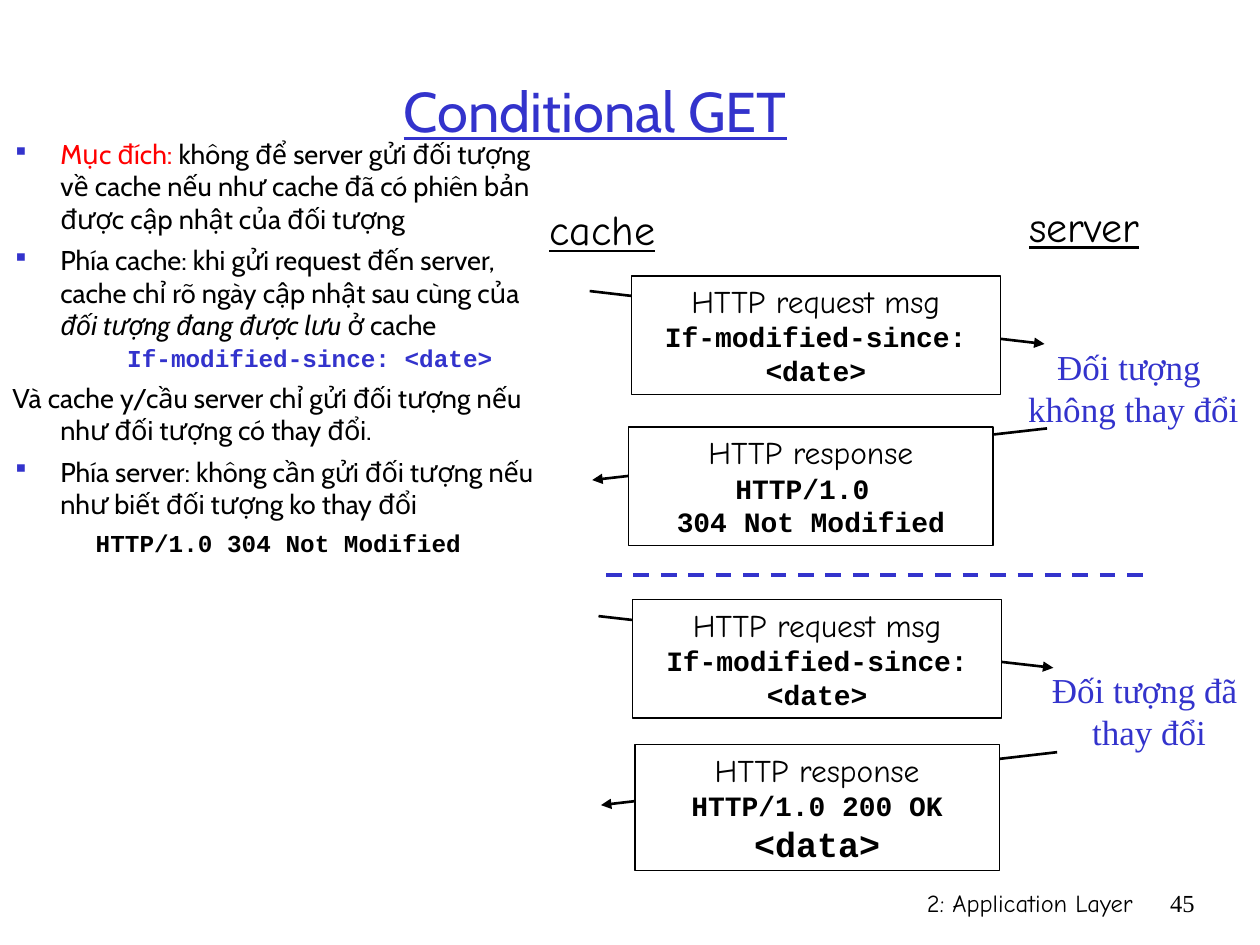
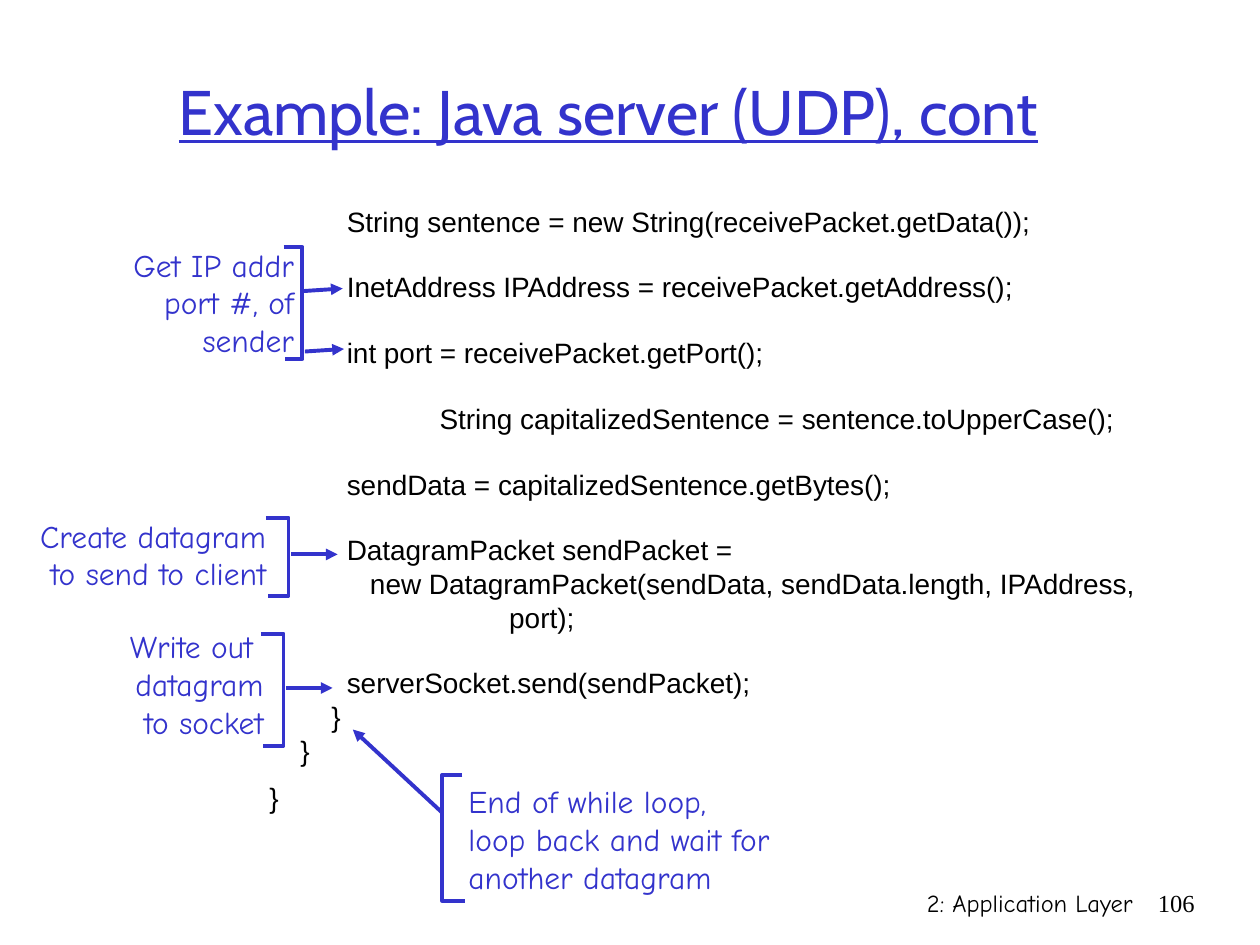
"""Build two networking lecture slides: conditional GET and a Java UDP server."""
from lxml import etree
from pptx import Presentation
from pptx.dml.color import RGBColor
from pptx.enum.dml import MSO_LINE
from pptx.enum.shapes import MSO_CONNECTOR, MSO_SHAPE
from pptx.enum.text import MSO_ANCHOR, PP_ALIGN
from pptx.oxml.ns import qn
from pptx.util import Inches, Pt

BLUE = RGBColor(0x33, 0x33, 0xCC)
BLACK = RGBColor(0, 0, 0)
WHITE = RGBColor(255, 255, 255)
RED = RGBColor(255, 0, 0)
LEFT, CENTER, RIGHT = PP_ALIGN.LEFT, PP_ALIGN.CENTER, PP_ALIGN.RIGHT
TOP, MIDDLE = MSO_ANCHOR.TOP, MSO_ANCHOR.MIDDLE
STRAIGHT = MSO_CONNECTOR.STRAIGHT
RECTANGLE = MSO_SHAPE.RECTANGLE
DASH = MSO_LINE.DASH
HEADING, HAND, SERIF, CODE, SANS = "Cabin", "Comic Neue", "Times New Roman", "Courier New", "Arial"


def write(box, lines, color=BLACK, align=CENTER, anchor=TOP, wrap=True):
    """Fill a shape with (text, font name, size) lines; Courier lines are bold."""
    frame = box.text_frame
    frame.word_wrap = wrap
    frame.vertical_anchor = anchor
    for index, (text, name, size) in enumerate(lines):
        para = frame.add_paragraph() if index else frame.paragraphs[0]
        para.text = text
        para.alignment = align
        para.font.name = name
        para.font.size = Pt(size)
        para.font.bold = name == CODE
        para.font.color.rgb = color
    return frame


def draw_line(page, start, end, color, width, arrow=True):
    """Draw a straight line, with an arrowhead at its end if asked."""
    line = page.shapes.add_connector(STRAIGHT, *map(Inches, start + end))
    line.line.color.rgb = color
    line.line.width = Pt(width)
    if arrow:
        outline = line.element.spPr.find(qn("a:ln"))
        etree.SubElement(outline, qn("a:tailEnd"), type="triangle")
    etree.SubElement(line.element.spPr, qn("a:effectLst"))
    return line


deck = Presentation()
deck.slide_width, deck.slide_height = Inches(10), Inches(7.5)

pages = []
for heading, size, left, width, number in [
    ("Conditional GET", 32, 0.37, 8.71, "45"),
    ("Example: Java server (UDP), cont", 36, 0.58, 8.5, "106"),
]:
    page = deck.slides.add_slide(deck.slide_layouts[5])
    pages.append(page)
    title = page.shapes.title
    title.left, title.top, title.width, title.height = map(Inches, (left, 0.25, width, 1.25))
    frame = write(title, [(heading, HEADING, size)], BLUE, anchor=MIDDLE)
    frame.paragraphs[0].font.underline = True
    for text, name, left, width in [("2: Application Layer", HAND, 5.92, 3.17), (number, SERIF, 9.08, 0.5)]:
        footer = page.shapes.add_textbox(Inches(left), Inches(7), Inches(width), Inches(0.5))
        write(footer, [(text, name, 14)], align=RIGHT)
get_page, udp_page = pages

body = get_page.shapes.add_textbox(0, Inches(1.04), Inches(4.42), Inches(4.71))
body.text_frame.word_wrap = True
body_paragraphs = [
    ("bullet", [("Mục đích:", RED, False),
                (" không để server gửi đối tượng về cache nếu như cache đã có phiên bản "
                 "được cập nhật của đối tượng", BLACK, False)]),
    ("bullet", [("Phía cache: khi gửi request đến server, cache chỉ rõ ngày cập nhật sau cùng của ", BLACK, False),
                ("đối tượng đang được lưu ", BLACK, True),
                ("ở cache", BLACK, False)]),
    ("header", [("If-modified-since: <date>", BLUE, False)]),
    ("plain", [("Và cache y/cầu server chỉ gửi đối tượng nếu như đối tượng có thay đổi.", BLACK, False)]),
    ("bullet", [("Phía server: không cần gửi đối tượng nếu như biết đối tượng ko thay đổi", BLACK, False)]),
    ("status", [("HTTP/1.0 304 Not Modified", BLACK, False)]),
]
for index, (kind, spans) in enumerate(body_paragraphs):
    para = body.text_frame.add_paragraph() if index else body.text_frame.paragraphs[0]
    is_code = kind in ("header", "status")
    margin, indent = (0.81, -0.31) if kind == "header" else (0.38, -0.38)
    properties = para._p.get_or_add_pPr()
    properties.set("marL", str(Inches(margin)))
    properties.set("indent", str(Inches(indent)))
    if kind == "bullet":
        bullet_color = etree.SubElement(properties, qn("a:buClr"))
        etree.SubElement(bullet_color, qn("a:srgbClr"), val=str(BLUE))
        etree.SubElement(properties, qn("a:buSzPct"), val="85000")
        etree.SubElement(properties, qn("a:buChar"), char="▪")
    para.alignment = CENTER if is_code else LEFT
    if kind == "header":
        para.line_spacing = 0.8
    if index:
        para.space_before = Pt(4.5 if is_code else 5)
    para.font.name = CODE if is_code else HEADING
    para.font.size = Pt(13.9 if is_code else 15.5)
    para.font.bold = is_code
    for text, color, italic in spans:
        span = para.add_run()
        span.text = text
        span.font.color.rgb = color
        span.font.italic = italic

for text, left, top, width in [("cache", 4.26, 1.57, 1.04), ("server", 8.07, 1.54, 1.07)]:
    box = get_page.shapes.add_textbox(Inches(left), Inches(top), Inches(width), Inches(0.5))
    frame = write(box, [(text, HAND, 24)], wrap=False)
    frame.paragraphs[0].font.underline = True

request = [("HTTP request msg", HAND, 18), ("If-modified-since: <date>", CODE, 16)]
response = ("HTTP response", HAND, 18)
not_modified = [response, ("HTTP/1.0 ", CODE, 16), ("304 Not Modified", CODE, 16)]
ok_with_data = [response, ("HTTP/1.0 200 OK", CODE, 16), ("<data>", CODE, 20)]
messages = [
    ((4.68, 2.31), (8.29, 2.73), (5.01, 2.19, 2.93, 0.94), request),
    ((8.31, 3.4), (4.7, 3.81), (4.99, 3.39, 2.89, 0.94), not_modified),
    ((4.75, 4.89), (8.36, 5.3), (5.02, 4.76, 2.93, 0.94), request),
    ((8.39, 5.97), (4.77, 6.39), (5.04, 5.91, 2.89, 1), ok_with_data),
]
for start, end, place, lines in messages:
    draw_line(get_page, start, end, BLACK, 1.5)
    box = get_page.shapes.add_shape(RECTANGLE, *map(Inches, place))
    box.shadow.inherit = False
    box.fill.solid()
    box.fill.fore_color.rgb = WHITE
    box.line.color.rgb = BLACK
    box.line.width = Pt(0.75)
    write(box, lines)

for text, place, wrap in [
    ("Đối tượng \vkhông thay đổi", (7.99, 2.69, 2.01, 0.77), True),
    ("Đối tượng đã \vthay đổi", (8.25, 5.26, 1.74, 0.77), False),
]:
    box = get_page.shapes.add_textbox(*map(Inches, place))
    write(box, [(text, SERIF, 20)], BLUE, wrap=wrap)

divider = draw_line(get_page, (4.81, 4.56), (9.08, 4.56), BLUE, 2.25, arrow=False)
divider.line.dash_style = DASH

BLANK_LINE = 18.4
code_lines = [
    (0, "          String sentence = new String(receivePacket.getData());"),
    (BLANK_LINE, "          InetAddress IPAddress = receivePacket.getAddress();"),
    (BLANK_LINE, "          int port = receivePacket.getPort();"),
    (BLANK_LINE, "                      String capitalizedSentence = sentence.toUpperCase();"),
    (BLANK_LINE, "          sendData = capitalizedSentence.getBytes();"),
    (BLANK_LINE, "          DatagramPacket sendPacket ="),
    (0, "             new DatagramPacket(sendData, sendData.length, IPAddress,"),
    (0, "                               port);"),
    (BLANK_LINE, "          serverSocket.send(sendPacket);"),
    (0, "        }"),
    (0, "    }"),
    (8, "}"),
]
listing = udp_page.shapes.add_textbox(Inches(2.04), Inches(1.57), Inches(7.15), Inches(5.02))
frame = write(listing, [(text, SANS, 16) for gap, text in code_lines], align=LEFT, wrap=False)
for para, (gap, text) in zip(frame.paragraphs, code_lines):
    if gap:
        para.space_before = Pt(gap)

notes = [
    (["Get IP addr", "port #, of", "sender"], (0.14, 1.9, 2.29, 1), RIGHT, True,
     [(2.25, 1.96), (2.4, 1.96), (2.4, 2.85), (2.26, 2.85)],
     [((2.41, 2.31), (2.72, 2.29)), ((2.42, 2.79), (2.73, 2.77))]),
    (["Create datagram", "to send to client"], (0.2, 4.05, 2.01, 0.7), RIGHT, False,
     [(2.11, 4.11), (2.29, 4.11), (2.29, 4.73), (2.13, 4.73)],
     [((2.31, 4.4), (2.68, 4.4))]),
    (["Write out ", "datagram", "to socket"], (0.92, 4.93, 1.27, 1), RIGHT, False,
     [(2.07, 5.03), (2.25, 5.03), (2.25, 5.92), (2.09, 5.92)],
     [((2.27, 5.46), (2.64, 5.46))]),
    (["End of while loop,", "loop back and wait for", "another datagram"], (3.62, 6.16, 2.6, 1), LEFT, False,
     [(3.67, 6.15), (3.51, 6.15), (3.51, 7.15), (3.69, 7.15)],
     [((3.51, 6.45), (2.8, 5.79))]),
]
for texts, place, align, wrap, corners, arrows in notes:
    box = udp_page.shapes.add_textbox(*map(Inches, place))
    write(box, [(text, HAND, 18) for text in texts], BLUE, align, MIDDLE, wrap)
    points = [(Inches(x), Inches(y)) for x, y in corners]
    builder = udp_page.shapes.build_freeform(*points[0])
    builder.add_line_segments(points[1:], close=False)
    bracket = builder.convert_to_shape()
    bracket.shadow.inherit = False
    bracket.fill.background()
    bracket.line.color.rgb = BLUE
    bracket.line.width = Pt(2.25)
    for start, end in arrows:
        draw_line(udp_page, start, end, BLUE, 2.25)

deck.save("out.pptx")
